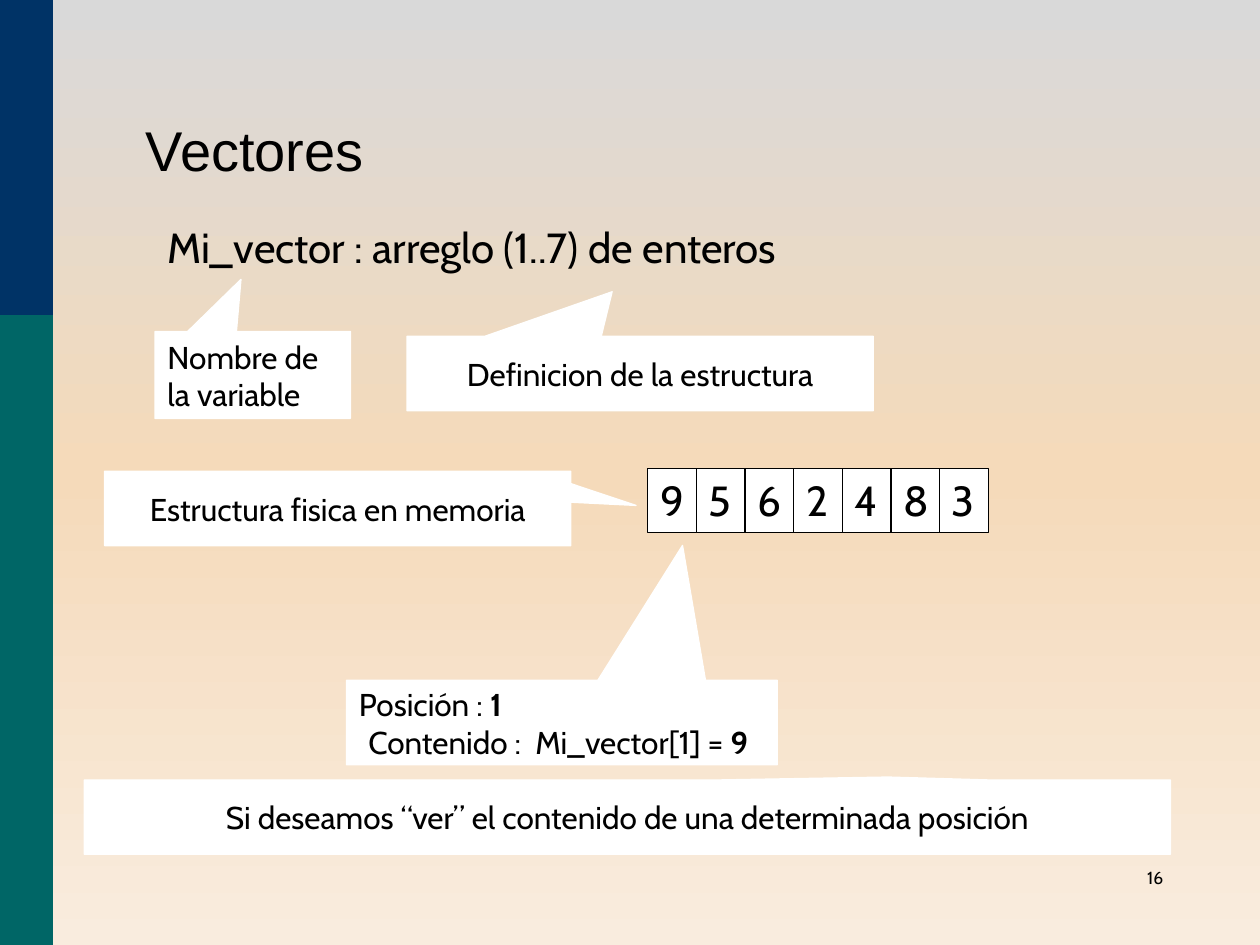
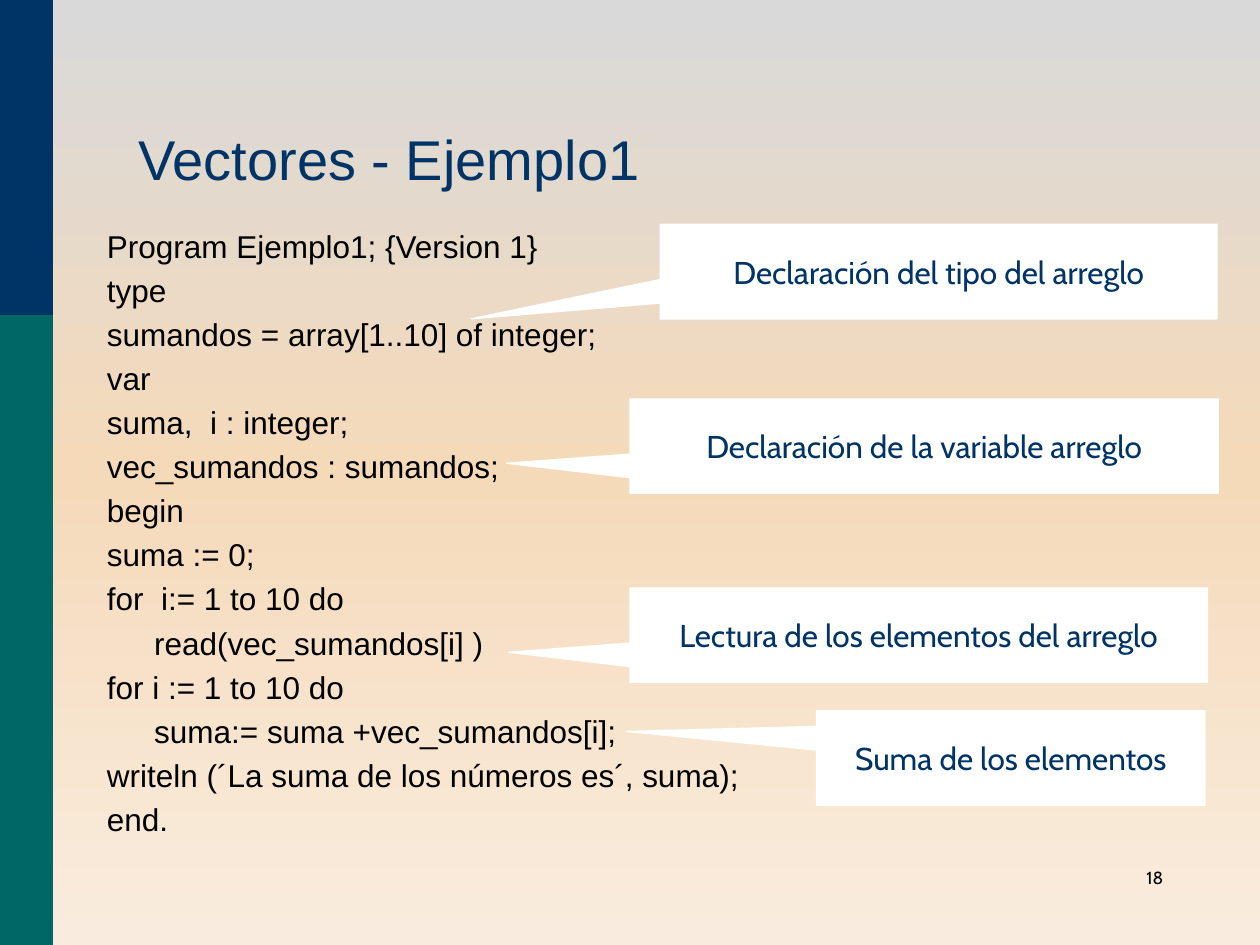
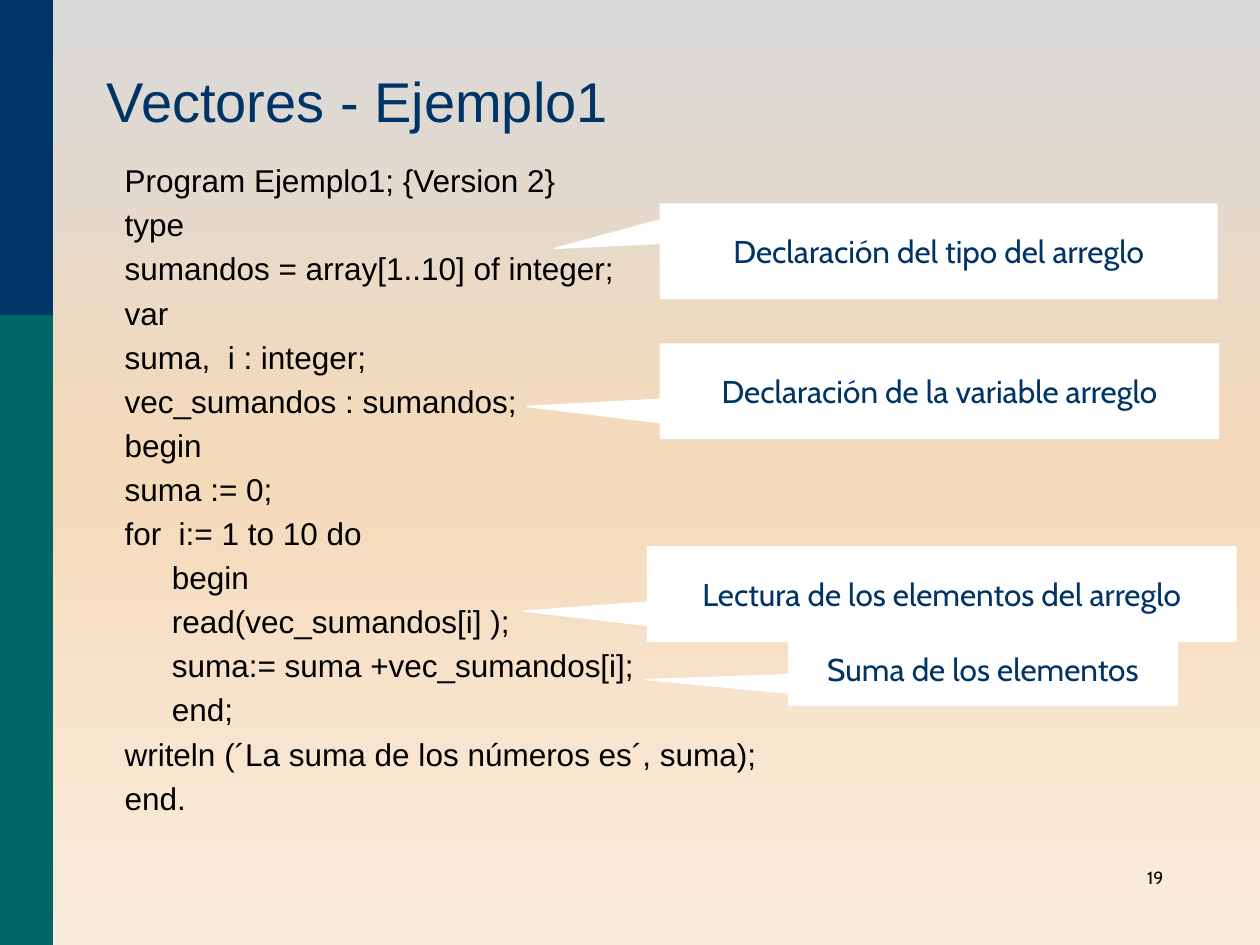
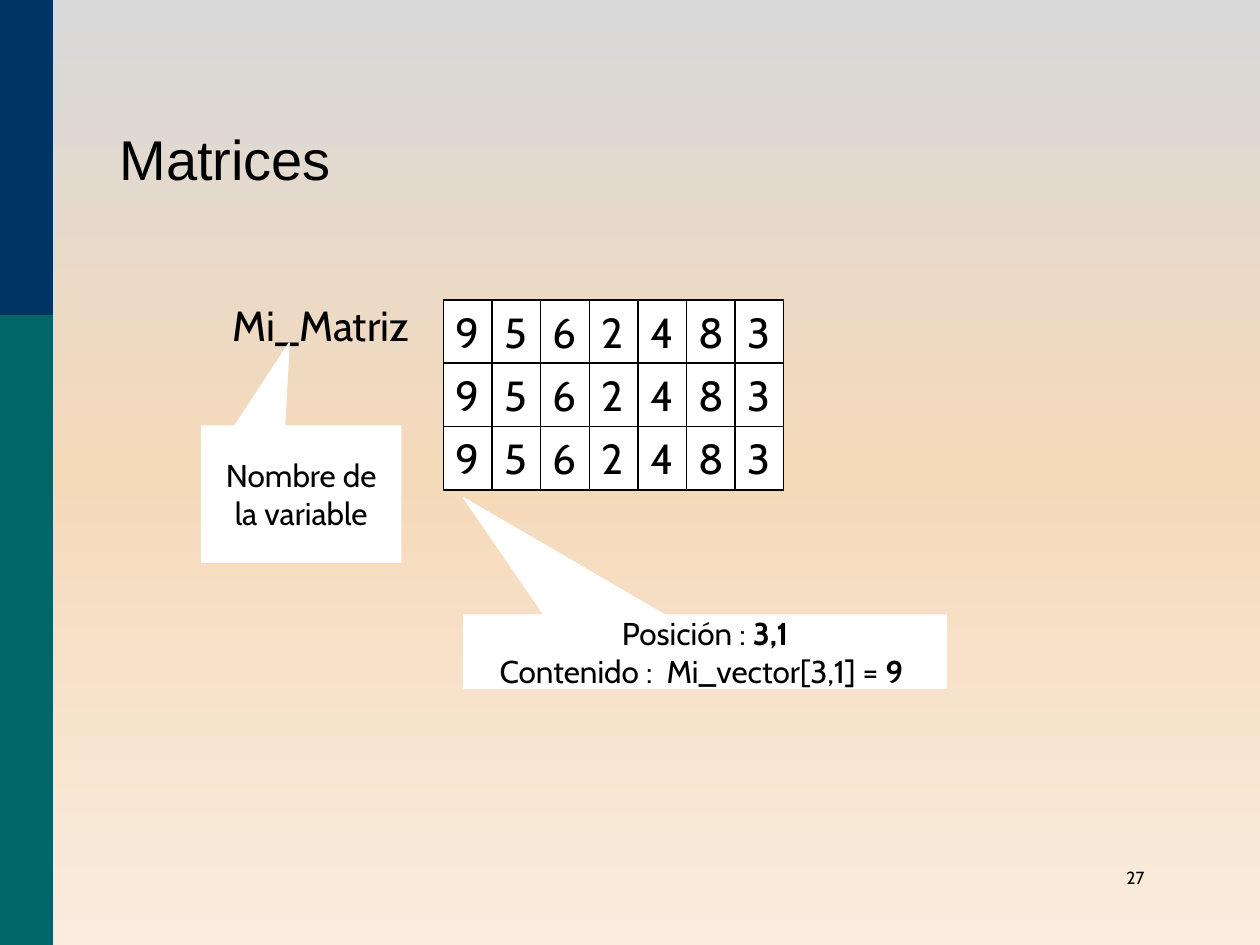
import pptx
import pptx.dml.color
import pptx.enum.shapes
import pptx.enum.text
import pptx.oxml
import pptx.oxml.ns
import pptx.util

Pt = pptx.util.Pt
SHAPE = pptx.enum.shapes.MSO_SHAPE
ALIGN = pptx.enum.text.PP_ALIGN
ANCHOR = pptx.enum.text.MSO_ANCHOR

NAVY, TEAL, BLACK, WHITE = "003366", "006666", "000000", "FFFFFF"
BACKGROUND = [(0, "D9D9D9"), (50, "F5DABA"), (100, "F9ECDE")]
SANS, CABIN = "Arial", "Cabin"
LEFT, CENTER, RIGHT = ALIGN.LEFT, ALIGN.CENTER, ALIGN.RIGHT
TOP, MIDDLE = ANCHOR.TOP, ANCHOR.MIDDLE

BAND_WIDTH, NAVY_BAND_HEIGHT = 30.2, 180
TITLE_SIZE = (576, 90)
CELL_WIDTH, CELL_HEIGHT, ROW_PITCH = 27.8, 36.5, 36.1
CODE_INDENT = 27

VALUES = [9, 5, 6, 2, 4, 8, 3]

DECLARATIONS = [
    "type",
    "sumandos = array[1..10] of integer;",
    "var",
    "suma,  i : integer;",
    "vec_sumandos : sumandos;",
    "begin",
    "suma := 0;",
    "for  i:= 1 to 10 do",
]
ENDING = ["writeln (´La suma de los números es´, suma);", "end."]
CODE_1 = ["Program Ejemplo1; {Version 1}", *DECLARATIONS,
          "\tread(vec_sumandos[i] )",
          "for i := 1 to 10 do",
          "\tsuma:= suma +vec_sumandos[i];", *ENDING]
CODE_2 = ["Program Ejemplo1; {Version 2}", *DECLARATIONS,
          "\tbegin",
          "\tread(vec_sumandos[i] );",
          "\tsuma:= suma +vec_sumandos[i];",
          "\tend;", *ENDING]

TYPE_NOTE = "Declaración del tipo del arreglo"
VARIABLE_NOTE = "Declaración de la variable arreglo"
READ_NOTE = "Lectura de los elementos del arreglo"
SUM_NOTE = "Suma de los elementos"
NAME_NOTE = ["Nombre de", "la variable"]

# Boxes are (left, top, width, height); a callout is (lines, box, tip[, aligns, anchor]).
# The tip is measured from the box centre, in box widths and heights.
# Text between asterisks is bold.
SLIDES = [
    dict(
        title="Vectores", title_at=(76.3, 43.2), color=BLACK,
        number="16", number_left=522,
        label=("Mi_vector : arreglo (1..7) de enteros", (88.6, 123.1, 476, 36)),
        grid=(370.1, 267.8, [VALUES]),
        callouts=[
            (NAME_NOTE, (88.6, 189.4, 111.6, 49.7), (-0.06, -1.1), [LEFT, LEFT], TOP),
            (["Posición : *1*", "Contenido :  Mi_vector[1] =* 9 *"],
             (198, 388.8, 246.2, 48.2), (0.28, -2.1), [LEFT, CENTER]),
            (["Definicion de la estructura"], (232.6, 192.2, 266.4, 42.5), (-0.06, -1.1)),
            (["Estructura fisica en memoria"], (59.8, 269.3, 266.4, 42.5), (0.64, -0.04)),
            (["Si deseamos “ver” el contenido de una determinada posición"],
             (48.2, 445.7, 620.6, 42.5), (0.24, -0.54)),
        ]),
    dict(
        title="Vectores - Ejemplo1", title_at=(72, 48.2), color=NAVY,
        number="18", number_left=522,
        code=(CODE_1, (54, 126, 426.2, 288)),
        callouts=[
            ([VARIABLE_NOTE], (360, 228, 336.2, 54), (-0.71, 0.18)),
            ([TYPE_NOTE], (377.3, 128.2, 318.2, 54), (-0.84, 0.5)),
            ([READ_NOTE], (360, 336, 330, 54), (-0.71, 0.18)),
            ([SUM_NOTE], (466.6, 406.1, 222, 54), (-0.99, -0.28)),
        ]),
    dict(
        title="Vectores - Ejemplo1", title_at=(54, 15.1), color=NAVY,
        number="19", number_left=522,
        code=(CODE_2, (64.1, 88.6, 426.2, 393.1)),
        callouts=[
            ([TYPE_NOTE], (377.3, 116.6, 318.2, 54), (-0.69, -0.03)),
            ([VARIABLE_NOTE], (377.3, 196.6, 319, 54), (-0.74, 0.16)),
            ([READ_NOTE], (370.1, 312.5, 336.2, 54), (-0.71, 0.18)),
            ([SUM_NOTE], (450.7, 360.7, 222, 42.5), (-0.87, 0.15)),
        ]),
    dict(
        title="Matrices", title_at=(61.2, 48.2), color=BLACK,
        number="27", number_left=511.2,
        label=("Mi_Matriz", (126, 167.8, 115.2, 36)),
        grid=(253.3, 171.4, [VALUES] * 3),
        callouts=[
            (NAME_NOTE, (115.2, 243.4, 113.8, 77.8), (-0.06, -1.11)),
            (["Posición : *3,1*", "Contenido :  Mi_vector[3,1] =* 9 *"],
             (265, 351.4, 275.8, 41.8), (-0.5, -2.1)),
        ]),
]


def rgb(color):
    return pptx.dml.color.RGBColor.from_string(color)


def write(sp, lines, font, size, color, aligns=None, anchor=TOP, wrap=False):
    """Fill the shape with one paragraph per line and return the paragraphs."""
    tf = sp.text_frame
    tf.word_wrap = wrap
    tf.vertical_anchor = anchor
    for i, line in enumerate(lines):
        p = tf.paragraphs[0] if i == 0 else tf.add_paragraph()
        p.alignment = aligns[i] if aligns else LEFT
        p.font.name, p.font.size = font, Pt(size)
        p.font.color.rgb = rgb(color)
        for j, part in enumerate(line.split("*")):
            if part:
                r = p.add_run()
                r.text = part
                if j % 2:
                    r.font.bold = True
    return tf.paragraphs


def add_text(s, lines, box, font, size, color, **options):
    sp = s.shapes.add_textbox(*map(Pt, box))
    return write(sp, lines, font, size, color, **options)


def add_shape(shapes, kind, box, fill, line=None):
    sp = shapes.add_shape(kind, *map(Pt, box))
    sp.shadow.inherit = False
    sp.fill.solid()
    sp.fill.fore_color.rgb = rgb(fill)
    if line:
        sp.line.color.rgb = rgb(line)
        sp.line.width = Pt(0.75)
    else:
        sp.line.fill.background()
    return sp


def add_code(s, lines, box):
    paragraphs = add_text(s, lines, box, SANS, 18, BLACK, wrap=True)
    for i, p in enumerate(paragraphs):
        pPr = p._p.get_or_add_pPr()
        pPr.set("marL", str(Pt(CODE_INDENT)))
        pPr.set("indent", str(-Pt(CODE_INDENT)))
        if i:
            p.space_before = Pt(3.6)


def add_grid(s, left, top, rows):
    for i, row in enumerate(rows):
        group = s.shapes.add_group_shape()
        for j, value in enumerate(row):
            box = (left + j * CELL_WIDTH, top + i * ROW_PITCH, CELL_WIDTH, CELL_HEIGHT)
            cell = add_shape(group.shapes, SHAPE.RECTANGLE, box, WHITE, BLACK)
            write(cell, [str(value)], CABIN, 24, BLACK)


def add_callout(s, color, lines, box, tip, aligns=None, anchor=MIDDLE):
    sp = add_shape(s.shapes, SHAPE.RECTANGULAR_CALLOUT, box, WHITE, WHITE)
    sp.adjustments[0], sp.adjustments[1] = tip
    write(sp, lines, CABIN, 18, color, aligns or [CENTER] * len(lines), anchor)


def set_background(master):
    fill = master.background.fill
    fill.gradient()
    fill.gradient_angle = 270
    stops = "".join(f'<a:gs pos="{pos * 1000}"><a:srgbClr val="{color}"/></a:gs>'
                    for pos, color in BACKGROUND)
    old = master.element.xpath("p:cSld/p:bg//a:gsLst")[0]
    new = pptx.oxml.parse_xml(f'<a:gsLst {pptx.oxml.ns.nsdecls("a")}>{stops}</a:gsLst>')
    old.getparent().replace(old, new)


def add_slide(prs, content):
    s = prs.slides.add_slide(prs.slide_layouts[6])
    for color, height in ((TEAL, 540), (NAVY, NAVY_BAND_HEIGHT)):
        add_shape(s.shapes, SHAPE.RECTANGLE, (0, 0, BAND_WIDTH, height), color)
    add_text(s, [content["number"]], (content["number_left"], 491.8, 149.8, 36),
             CABIN, 10, BLACK, aligns=[RIGHT])
    title = add_text(s, [content["title"]], content["title_at"] + TITLE_SIZE,
                     SANS, 32, content["color"], anchor=MIDDLE, wrap=True)
    title[0].line_spacing = 0.85
    if "label" in content:
        text, box = content["label"]
        add_text(s, [text], box, CABIN, 24, BLACK, wrap=box[2] > 200)
    if "code" in content:
        add_code(s, *content["code"])
    if "grid" in content:
        add_grid(s, *content["grid"])
    for callout in content["callouts"]:
        add_callout(s, content["color"], *callout)


def main():
    prs = pptx.Presentation()
    prs.slide_width, prs.slide_height = Pt(720), Pt(540)
    set_background(prs.slide_master)
    for content in SLIDES:
        add_slide(prs, content)
    prs.save("out.pptx")


if __name__ == "__main__":
    main()
